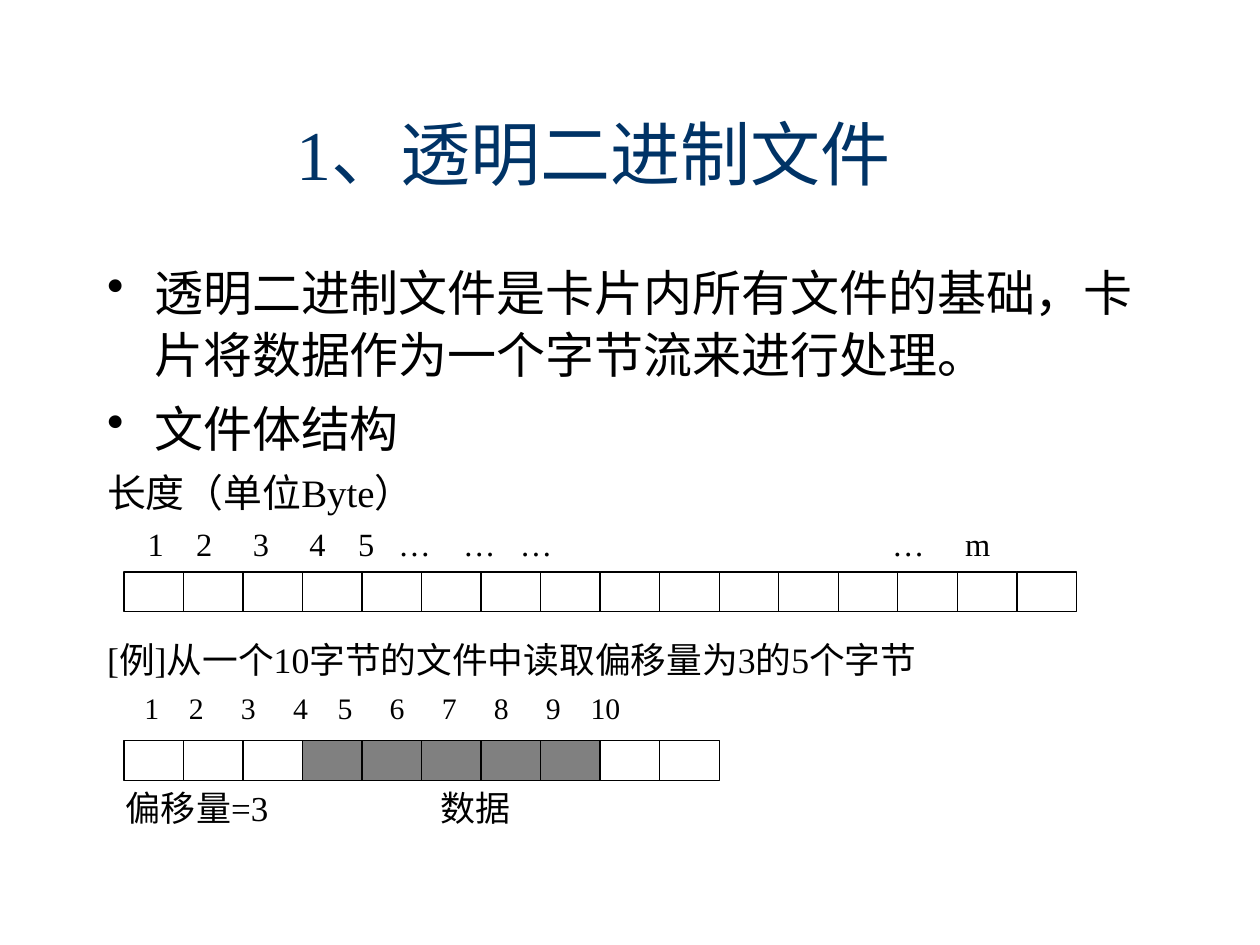
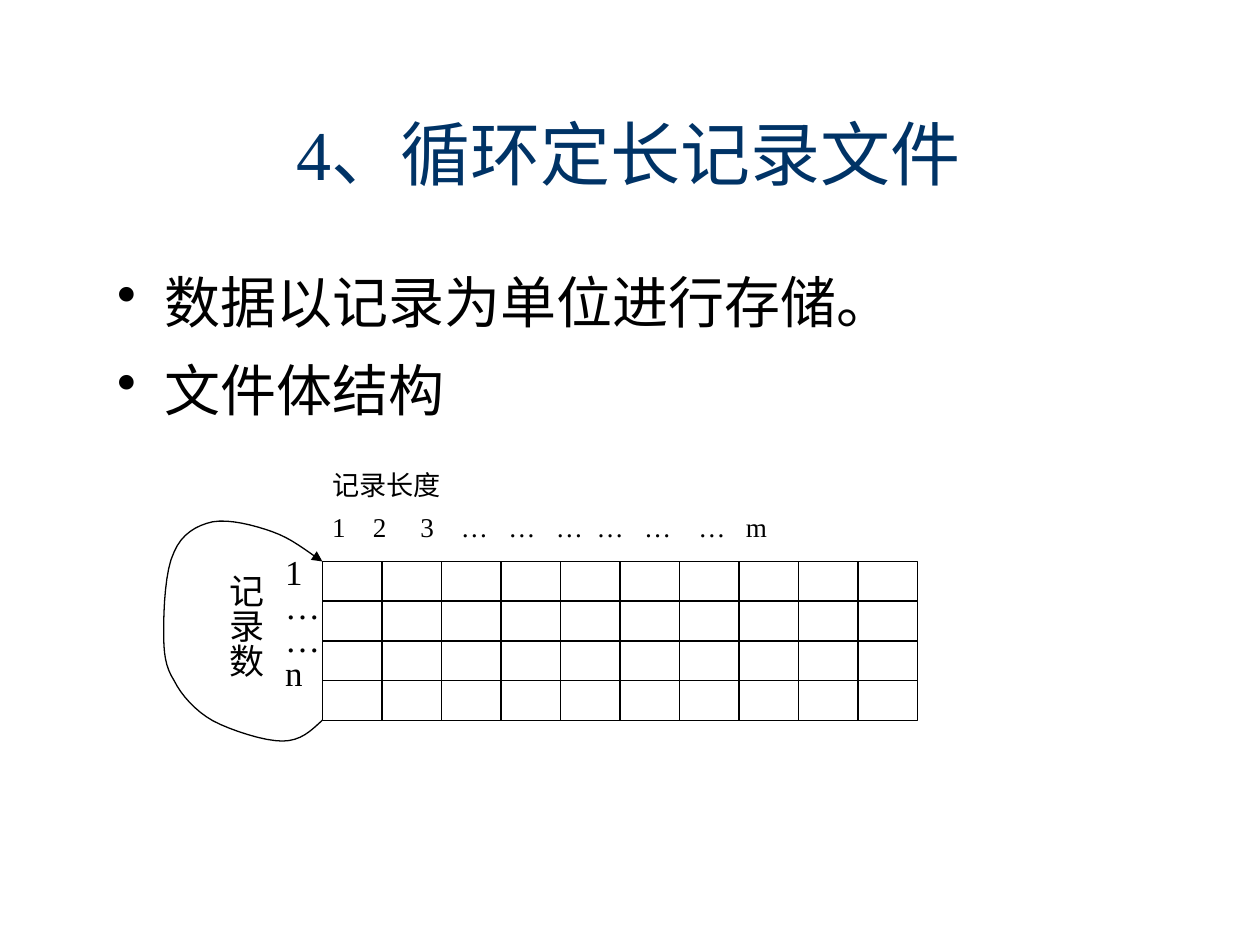
"""Build two slides on smart-card file structures: transparent binary and cyclic fixed-length records."""
from pptx import Presentation
from pptx.dml.color import RGBColor
from pptx.enum.shapes import MSO_SHAPE
from pptx.enum.text import MSO_ANCHOR
from pptx.oxml.ns import qn
from pptx.util import Cm, Pt
from lxml import etree

RECT = MSO_SHAPE.RECTANGLE
MIDDLE, TOP = MSO_ANCHOR.MIDDLE, MSO_ANCHOR.TOP

THEME = {
    "font": "Times New Roman",
    "title": RGBColor(0x00, 0x33, 0x66),
    "ink": RGBColor(0x00, 0x00, 0x00),
    "data": RGBColor(0x80, 0x80, 0x80),
    "title_size": 40,
    "line": 0.75,
    "cell": (1.2, 0.8),
    "inset": (0.25, 0.13),
    "indent": 0.95,
}

TITLE_BOX = (5.72, 1.9, 17.57, 2.34)

BINARY = {
    "title": "1、透明二进制文件",
    "body": {
        "box": (1.91, 5.11, 21.59, 4.41), "size": 28, "before": 7, "spacing": 1.05,
        "lines": ["透明二进制文件是卡片内所有文件的基础，卡片将数据作为一个字节流来进行处理。", "文件体结构"],
    },
    "groups": [
        {
            "texts": [{"box": (1.91, 9.32, 21.59, 2.2), "before": 5, "lines": [
                (22.2, [(0, "长度（单位Byte）")]),
                (18.5, [(5, "1"), (4, "2"), (5, "3"), (5, "4"), (4, "5"), (3, "…"),
                        (4, "…"), (3, "…"), (42, "…"), (5, "m")]),
            ]}],
            "grid": {"at": (2.5, 11.53), "cols": 16, "rows": 1},
        },
        {
            "texts": [
                {"box": (1.91, 12.73, 21.59, 2), "before": 5, "lines": [
                    (20.4, [(0, "[例]从一个10字节的文件中读取偏移量为3的5个字节")]),
                    (17, [(5, "1"), (4, "2"), (5, "3"), (5, "4"), (4, "5"), (5, "6"),
                          (5, "7"), (5, "8"), (5, "9"), (4, "10")]),
                ]},
                {"box": (2.29, 15.72, 21.59, 2), "lines": [
                    (20, [(0, "偏移量=3"), (20, "数据")]),
                ]},
            ],
            "grid": {"at": (2.5, 14.93), "cols": 10, "rows": 1, "data": range(3, 8)},
        },
    ],
}

CYCLIC = {
    "title": "4、循环定长记录文件",
    "body": {
        "box": (2.11, 5.13, 21.59, 3.6), "size": 32, "before": 8, "spacing": 1.1,
        "lines": ["数据以记录为单位进行存储。", "文件体结构"],
    },
    "groups": [{
        "texts": [
            {"box": (5.9, 9.32, 13.2, 1.8), "before": 5, "lines": [
                (15.5, [(4, "记录长度")]),
                (15.5, [(4, "1"), (4, "2"), (5, "3"), (4, "…"), (3, "…"), (3, "…"),
                        (2, "…"), (3, "…"), (4, "…"), (3, "m")]),
            ]},
            {"box": (4.7, 11.32, 0.8, 2.8), "vertical": True, "lines": [(20, [(0, "记录数")])]},
            {"box": (5.5, 11.13, 1.2, 3.2), "spacing": 0.8,
             "lines": [(20, [(0, t)]) for t in ("1", "…", "…", "n")]},
        ],
        "grid": {"at": (6.5, 11.32), "cols": 10, "rows": 4},
        "loop": [
            (6.5, 14.52),
            (6.27, 14.73), (6.07, 14.94), (5.69, 14.94),
            (5.33, 14.94), (4.67, 14.73), (4.29, 14.53),
            (3.94, 14.33), (3.66, 14.02), (3.51, 13.72),
            (3.33, 13.44), (3.3, 13.16), (3.3, 12.73),
            (3.3, 12.29), (3.33, 11.48), (3.51, 11.13),
            (3.66, 10.77), (3.96, 10.59), (4.29, 10.52),
            (4.62, 10.46), (5.13, 10.59), (5.49, 10.72),
            (5.87, 10.85), (6.17, 11.1), (6.5, 11.32),
        ],
    }],
}


def apply(obj, values):
    for name, value in values.items():
        setattr(obj, name, value)


def add_frame(shapes, box, anchor=TOP, vertical=False):
    tf = shapes.add_textbox(*map(Cm, box)).text_frame
    x, y = map(Cm, THEME["inset"][::-1] if vertical else THEME["inset"])
    apply(tf, {"word_wrap": True, "vertical_anchor": anchor, "margin_left": x,
               "margin_right": x, "margin_top": y, "margin_bottom": y})
    if vertical:
        tf._txBody.bodyPr.set("vert", "eaVert")
    return tf


def next_paragraph(tf, i):
    return tf.add_paragraph() if i else tf.paragraphs[0]


def add_run(p, text, size, color):
    r = p.add_run()
    r.text = text
    apply(r.font, {"name": THEME["font"], "size": Pt(size)})
    r.font.color.rgb = color


def space(p, i, before=0, spacing=1):
    apply(p, {"space_before": Pt(before if i else 0), "line_spacing": spacing})


def add_bullet(p):
    pPr = p._p.get_or_add_pPr()
    pPr.set("marL", str(Cm(THEME["indent"])))
    pPr.set("indent", str(-Cm(THEME["indent"])))
    clr = etree.SubElement(pPr, qn("a:buClr"))
    etree.SubElement(clr, qn("a:srgbClr"), val=str(THEME["ink"]))
    etree.SubElement(pPr, qn("a:buChar"), char="•")


def em_width(text):
    return sum(0.5 if c.isascii() else 1 for c in text)


def add_labels(p, size, labels):
    """Place labels at tab stops; each gap is counted in quarter ems."""
    stops, text, at = [], "", 0
    for gap, label in labels:
        at += gap / 4
        if gap:
            stops.append(at)
            text += "\t"
        text += label
        at += em_width(label)
    if stops:
        tabs = etree.SubElement(p._p.get_or_add_pPr(), qn("a:tabLst"))
        for stop in stops:
            etree.SubElement(tabs, qn("a:tab"), pos=str(Pt(stop * size)), algn="l")
    add_run(p, text, size, THEME["ink"])


def add_text(shapes, box, lines, vertical=False, **spacing):
    tf = add_frame(shapes, box, vertical=vertical)
    for i, (size, labels) in enumerate(lines):
        p = next_paragraph(tf, i)
        add_labels(p, size, labels)
        space(p, i, **spacing)


def add_body(shapes, box, size, lines, **spacing):
    tf = add_frame(shapes, box)
    for i, line in enumerate(lines):
        p = next_paragraph(tf, i)
        add_bullet(p)
        space(p, i, **spacing)
        add_run(p, line, size, THEME["ink"])


def outline(sp):
    sp.shadow.inherit = False
    sp.fill.background()
    sp.line.color.rgb = THEME["ink"]
    sp.line.width = Pt(THEME["line"])


def add_grid(shapes, at, cols, rows, data=()):
    w, h = THEME["cell"]
    for row in range(rows):
        for col in range(cols):
            sp = shapes.add_shape(RECT, Cm(at[0] + col * w), Cm(at[1] + row * h), Cm(w), Cm(h))
            outline(sp)
            if col in data:
                sp.fill.solid()
                sp.fill.fore_color.rgb = THEME["data"]


def bezier(points, t):
    u = 1 - t
    weights = (u ** 3, 3 * u * u * t, 3 * u * t * t, t ** 3)
    return tuple(Cm(sum(k * pt[axis] for k, pt in zip(weights, points))) for axis in (0, 1))


def add_loop(shapes, points, steps=8):
    curve = [bezier(points[i:i + 4], n / steps)
             for i in range(0, len(points) - 1, 3) for n in range(1, steps + 1)]
    fb = shapes.build_freeform(*map(Cm, points[0]))
    fb.add_line_segments(curve, close=False)
    sp = fb.convert_to_shape()
    outline(sp)
    etree.SubElement(sp.line._get_or_add_ln(), qn("a:tailEnd"), type="triangle")


def add_slide(prs, content):
    s = prs.slides.add_slide(prs.slide_layouts[6])
    tf = add_frame(s.shapes, TITLE_BOX, MIDDLE)
    add_run(tf.paragraphs[0], content["title"], THEME["title_size"], THEME["title"])
    add_body(s.shapes, **content["body"])
    for group in content["groups"]:
        shapes = s.shapes.add_group_shape().shapes
        add_grid(shapes, **group["grid"])
        for text in group["texts"]:
            add_text(shapes, **text)
        if "loop" in group:
            add_loop(shapes, group["loop"])


def main():
    prs = Presentation()
    apply(prs, {"slide_width": Cm(25.4), "slide_height": Cm(19.05)})
    for content in (BINARY, CYCLIC):
        add_slide(prs, content)
    prs.save("out.pptx")


if __name__ == "__main__":
    main()
